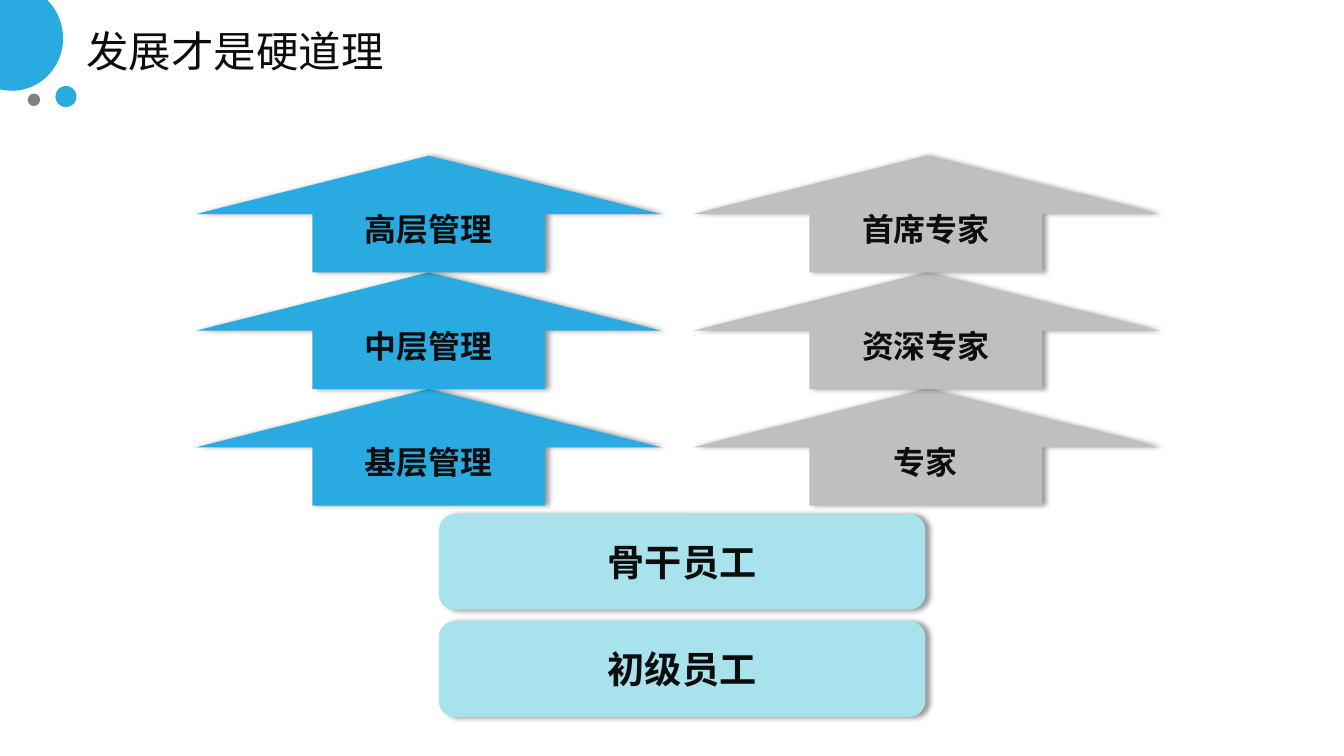
import pptx
import pptx.util
import pptx.dml.color
import pptx.enum.shapes
import pptx.enum.text
import pptx.oxml.ns
from lxml import etree

# Content
TITLE = "发展才是硬道理"
TRACKS = [  # left edge, fill, levels from top to bottom
    (2.05, "29ABE2", ["高层管理", "中层管理", "基层管理"]),
    (7.25, "BFBFBF", ["首席专家", "资深专家", "专家"]),
]
STAFF = ["骨干员工", "初级员工"]
DOTS = [  # left, top, width, height, fill
    (-0.41, -0.15, 1.07, 1.1, "29ABE2"),
    (0.58, 0.9, 0.22, 0.22, "29ABE2"),
    (0.29, 0.98, 0.13, 0.13, "808080"),
]

# Grid, in inches
WIDE, HIGH = 14.06, 7.91
ARROW_TOP, ARROW_W, ARROW_H = 1.63, 4.87, 1.22
BAR_LEFT, BAR_TOP, BAR_W, BAR_H, BAR_STEP = 4.59, 5.38, 5.09, 1, 1.12
INK, FONT = "0D0D0D", "Noto Sans CJK SC"

KIND = pptx.enum.shapes.MSO_SHAPE
ALIGN = pptx.enum.text.PP_ALIGN
inch = pptx.util.Inches
qn = pptx.oxml.ns.qn

deck = pptx.Presentation()
deck.slide_width, deck.slide_height = inch(WIDE), inch(HIGH)
slide = deck.slides.add_slide(deck.slide_layouts[5])


def color(text):
    return pptx.dml.color.RGBColor.from_string(text)


def write(shape, text, size, align, inset=(0, 0), bold=False, font=FONT):
    frame = shape.text_frame
    frame.word_wrap = True
    frame.auto_size = pptx.enum.text.MSO_AUTO_SIZE.NONE
    frame.vertical_anchor = pptx.enum.text.MSO_ANCHOR.MIDDLE
    frame.margin_left = frame.margin_right = inch(inset[0])
    frame.margin_top = frame.margin_bottom = inch(inset[1])
    para = frame.paragraphs[0]
    para.alignment = align
    run = para.add_run()
    run.text = text
    run.font.size = pptx.util.Pt(size)
    run.font.bold = bold
    run.font.color.rgb = color(INK)
    run.font.name = font
    east = etree.SubElement(run.font._element, qn("a:ea"))
    east.set("typeface", FONT)


def draw(kind, left, top, width, height, fill):
    shape = slide.shapes.add_shape(
        kind, inch(left), inch(top), inch(width), inch(height))
    shape.fill.solid()
    shape.fill.fore_color.rgb = color(fill)
    shape.line.fill.background()
    shape.shadow.inherit = False
    return shape


def block(kind, left, top, width, height, fill, text, size):
    shape = draw(kind, left, top, width, height, fill)
    # Soft shadow to the right
    effects = shape._element.spPr.find(qn("a:effectLst"))
    shade = etree.SubElement(effects, qn("a:outerShdw"))
    for key, value in (("blurRad", pptx.util.Pt(4)), ("dist", pptx.util.Pt(3)),
                       ("dir", 0), ("algn", "l"), ("rotWithShape", 0)):
        shade.set(key, str(int(value)) if key != "algn" else value)
    tint = etree.SubElement(shade, qn("a:srgbClr"), val="000000")
    etree.SubElement(tint, qn("a:alpha"), val="40000")
    write(shape, text, size, ALIGN.CENTER, (0.11, 0.06), True)


# Corner dots
for *place, fill in DOTS:
    draw(KIND.OVAL, *place, fill)

# Staff bars, lowest first
for row, text in reversed(list(enumerate(STAFF))):
    block(KIND.ROUNDED_RECTANGLE, BAR_LEFT, BAR_TOP + row * BAR_STEP,
          BAR_W, BAR_H, "A7E2ED", text, 28)

# Career arrows, lowest first
for left, fill, levels in reversed(TRACKS):
    for row, text in reversed(list(enumerate(levels))):
        block(KIND.UP_ARROW, left, ARROW_TOP + row * ARROW_H,
              ARROW_W, ARROW_H, fill, text, 24)

# Title
title = slide.shapes.title
title.left, title.top = inch(0.9), inch(0.26)
title.width, title.height = inch(7.56), inch(0.53)
write(title, TITLE, 32, ALIGN.LEFT, font="Arial")

deck.save("out.pptx")
